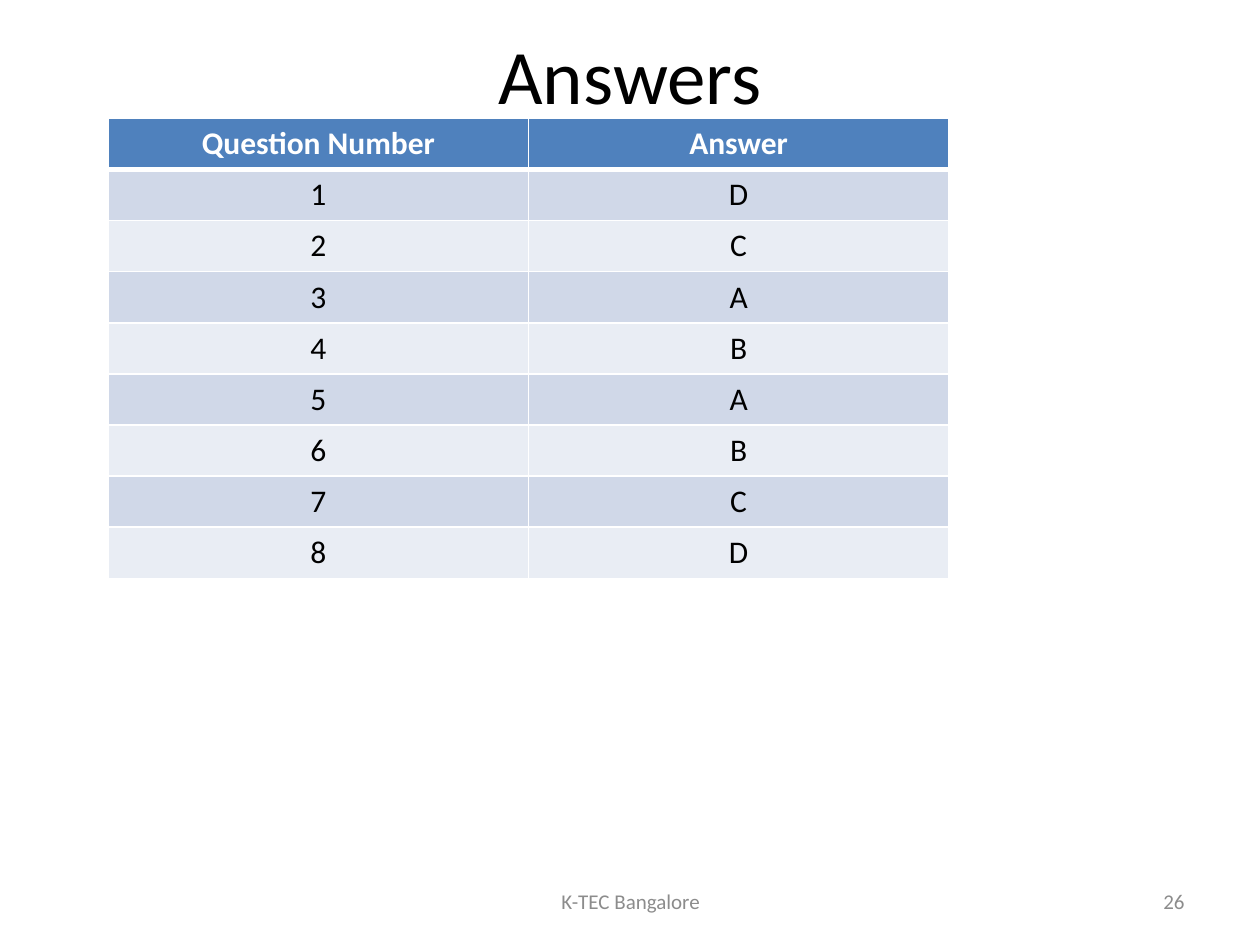
from dataclasses import dataclass

from lxml import etree
from pptx import Presentation
from pptx import util as u
from pptx.dml.color import RGBColor
from pptx.enum import text
from pptx.oxml.ns import qn


@dataclass(frozen=True)
class Theme:
    font: str = "Calibri"
    ink: str = "000000"
    paper: str = "FFFFFF"
    muted: str = "8C8C8C"
    head: str = "4F81BD"
    bands: tuple = ("D0D8E8", "E9EDF4")
    title: int = 44
    body: int = 18
    small: int = 12
    thin: int = 1
    thick: int = 3


class Deck:
    def __init__(self, theme):
        self.theme = theme
        self.file = Presentation()
        self.file.slide_width = u.Inches(10)
        self.file.slide_height = u.Inches(7.5)
        self.slide = self.file.slides.add_slide(self.file.slide_layouts[6])

    def style(self, frame, words, size, color, align, bold=False):
        frame.text = words
        para = frame.paragraphs[0]
        para.alignment = align
        font = para.runs[0].font
        font.name = self.theme.font
        font.size = u.Pt(size)
        font.bold = bold
        font.color.rgb = RGBColor.from_string(color)

    def label(self, box, words, size, color, align):
        frame = self.slide.shapes.add_textbox(*map(u.Inches, box)).text_frame
        frame.word_wrap = True
        frame.vertical_anchor = text.MSO_ANCHOR.MIDDLE
        self.style(frame, words, size, color, align)

    def edge(self, cell, side, width):
        props = cell._tc.get_or_add_tcPr()
        line = etree.SubElement(props, qn(f"a:ln{side}"), w=str(u.Pt(width)))
        fill = etree.SubElement(line, qn("a:solidFill"))
        etree.SubElement(fill, qn("a:srgbClr"), val=self.theme.paper)

    def table(self, box, rows):
        look = self.theme
        grid = self.slide.shapes.add_table(
            len(rows), len(rows[0]), *map(u.Inches, box)).table
        for r, row in enumerate(rows):
            head = r == 0
            fill = look.head if head else look.bands[(r - 1) % 2]
            color = look.paper if head else look.ink
            widths = {
                "L": look.thin,
                "R": look.thin,
                "T": look.thick if r == 1 else look.thin,
                "B": look.thick if head else look.thin,
            }
            for c, words in enumerate(row):
                cell = grid.cell(r, c)
                for side, width in widths.items():
                    self.edge(cell, side, width)
                cell.fill.solid()
                cell.fill.fore_color.rgb = RGBColor.from_string(fill)
                self.style(cell.text_frame, words, look.body, color,
                           text.PP_ALIGN.CENTER, head)

    def save(self):
        self.file.save("out.pptx")


def main():
    look = Theme()
    deck = Deck(look)
    mid, right = text.PP_ALIGN.CENTER, text.PP_ALIGN.RIGHT
    deck.label((0.5, 0, 9, 1.17), "Answers", look.title, look.ink, mid)
    deck.label((3.42, 6.95, 3.17, 0.4), "K-TEC Bangalore",
               look.small, look.muted, mid)
    deck.label((7.17, 6.95, 2.33, 0.4), "26", look.small, look.muted, right)
    keys = [(str(n), key) for n, key in enumerate("DCABABCD", 1)]
    deck.table((0.86, 0.94, 6.67, 3.65),
               [("Question Number", "Answer"), *keys])
    deck.save()


if __name__ == "__main__":
    main()
